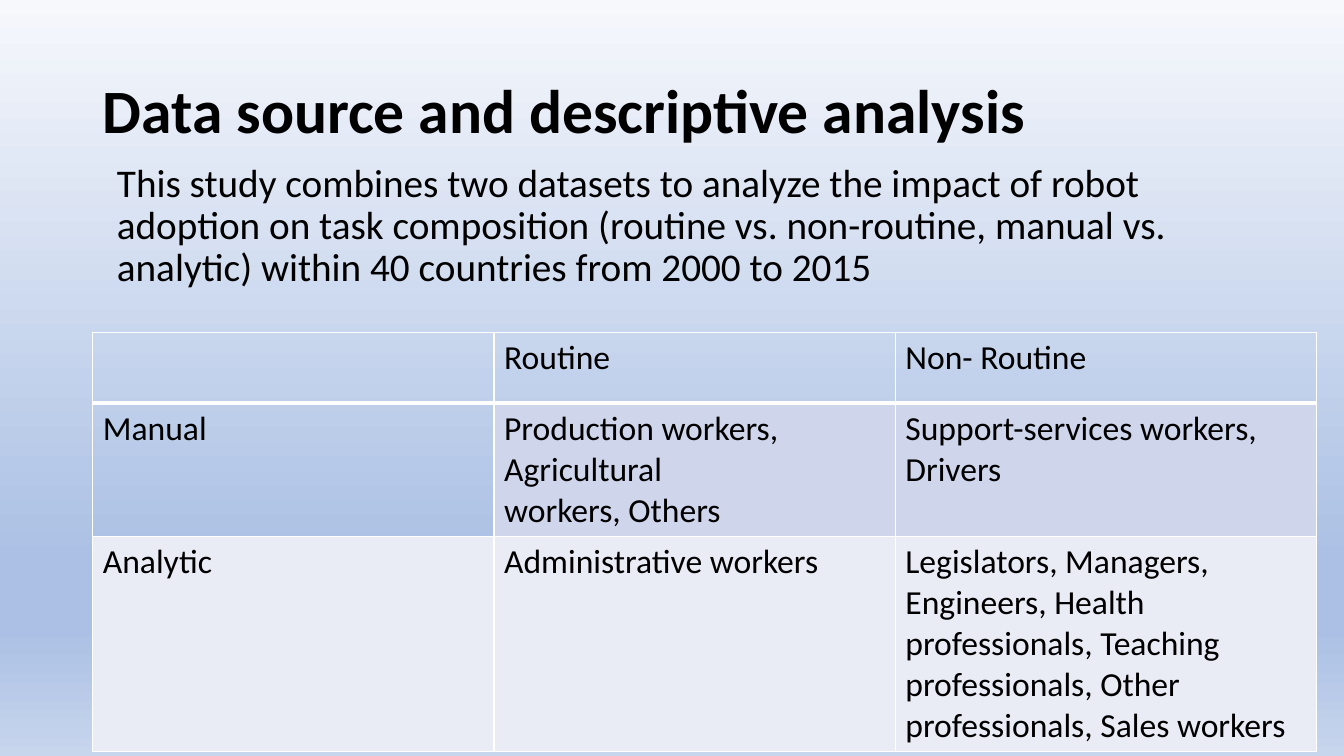
from dataclasses import dataclass

from lxml import etree
from pptx import Presentation
from pptx.dml.color import RGBColor
from pptx.enum.text import MSO_ANCHOR, MSO_AUTO_SIZE, PP_ALIGN
from pptx.oxml.ns import qn
from pptx.util import Inches, Pt


@dataclass(frozen=True)
class Theme:
    font: str = "Calibri"
    text: str = "000000"
    border: str = "FFFFFF"
    manual_fill: str = "CFD5EA"
    analytic_fill: str = "E9EBF5"
    gradient: tuple = ((0, "F6F8FC"), (74, "ABC0E4"), (83, "ABC0E4"), (100, "C7D5ED"))
    title_size: int = 44
    body_size: int = 28
    table_size: int = 24
    thin: int = 1
    thick: int = 3


THEME = Theme()

TITLE = "Data source and descriptive analysis"
SUMMARY = (
    "This study combines two datasets to analyze the impact of robot adoption "
    "on task composition (routine vs. non-routine, manual vs. analytic) "
    "within 40 countries from 2000 to 2015"
)
TASKS = [
    ["", "Routine", "Non- Routine"],
    ["Manual", "Production workers, Agricultural\nworkers, Others",
     "Support-services workers, Drivers"],
    ["Analytic", "Administrative workers",
     "Legislators, Managers, Engineers, Health professionals, "
     "Teaching professionals, Other professionals, Sales workers"],
]
TASK_FILLS = [
    [None, None, None],
    [None, THEME.manual_fill, THEME.manual_fill],
    [THEME.analytic_fill] * 3,
]
COLUMN_WIDTHS = [3.98, 3.98, 4.18]
ROW_HEIGHTS = [0.7, 1.32, 2.13]


def apply(target, values):
    for name, value in values.items():
        setattr(target, name, value)


def style_font(font, size, bold=False):
    apply(font, {"name": THEME.font, "size": Pt(size), "bold": bold})
    font.color.rgb = RGBColor.from_string(THEME.text)


def add_color(parent, color):
    solid = etree.SubElement(parent, qn("a:solidFill"))
    etree.SubElement(solid, qn("a:srgbClr"), val=color)


def paint_background(page):
    fill = page.background.fill
    fill.gradient()
    fill.gradient_angle = 270
    stops = next(page.element.iter(qn("a:gsLst")))
    for stop in list(stops):
        stops.remove(stop)
    for position, color in THEME.gradient:
        stop = etree.SubElement(stops, qn("a:gs"), pos=str(position * 1000))
        etree.SubElement(stop, qn("a:srgbClr"), val=color)


def place_text(holder, box, text, size, anchor, bold=False):
    left, top, width, height = (Inches(length) for length in box)
    apply(holder, {"left": left, "top": top, "width": width, "height": height})
    frame = holder.text_frame
    apply(frame, {"text": text, "word_wrap": True, "vertical_anchor": anchor,
                  "auto_size": MSO_AUTO_SIZE.NONE})
    para = frame.paragraphs[0]
    properties = para._p.get_or_add_pPr()
    apply(para, {"alignment": PP_ALIGN.LEFT, "line_spacing": 0.9, "space_before": Pt(0)})
    properties.set("marL", "0")
    properties.set("indent", "0")
    etree.SubElement(properties, qn("a:buNone"))
    style_font(para.runs[0].font, size, bold)


def style_cell(cell, color, top, bottom):
    # Borders come before the fill in the cell properties
    properties = cell._tc.get_or_add_tcPr()
    edges = {"a:lnL": THEME.thin, "a:lnR": THEME.thin, "a:lnT": top, "a:lnB": bottom}
    for edge, width in edges.items():
        line = etree.SubElement(properties, qn(edge), w=str(Pt(width)))
        add_color(line, THEME.border)
    if color:
        cell.fill.solid()
        cell.fill.fore_color.rgb = RGBColor.from_string(color)
    else:
        cell.fill.background()


def add_task_table(page, left, top):
    frame = page.shapes.add_table(
        len(ROW_HEIGHTS), len(COLUMN_WIDTHS), Inches(left), Inches(top),
        Inches(sum(COLUMN_WIDTHS)), Inches(sum(ROW_HEIGHTS)))
    table = frame.table
    apply(table, {"first_row": False, "horz_banding": False})
    for column, width in zip(table.columns, COLUMN_WIDTHS):
        column.width = Inches(width)
    for index, (row, height) in enumerate(zip(table.rows, ROW_HEIGHTS)):
        row.height = Inches(height)
        top_line = THEME.thick if index == 1 else THEME.thin
        bottom_line = THEME.thick if index == 0 else THEME.thin
        for cell, text, color in zip(row.cells, TASKS[index], TASK_FILLS[index]):
            cell.text = text
            style_cell(cell, color, top_line, bottom_line)
            for para in cell.text_frame.paragraphs:
                style_font(para.font, THEME.table_size)
                for span in para.runs:
                    style_font(span.font, THEME.table_size)


def build_data_page(deck):
    page = deck.slides.add_slide(deck.slide_layouts[1])
    paint_background(page)
    # Title and summary
    place_text(page.shapes.title, (0.92, 0.4, 11.5, 1.45), TITLE,
               THEME.title_size, MSO_ANCHOR.MIDDLE, bold=True)
    place_text(page.placeholders[1], (1.06, 1.57, 11.36, 1.72), SUMMARY,
               THEME.body_size, MSO_ANCHOR.TOP)
    # Task composition
    add_task_table(page, 0.92, 3.3)


def main():
    deck = Presentation()
    apply(deck, {"slide_width": Inches(13.33), "slide_height": Inches(7.5)})
    build_data_page(deck)
    deck.save("out.pptx")


if __name__ == "__main__":
    main()
